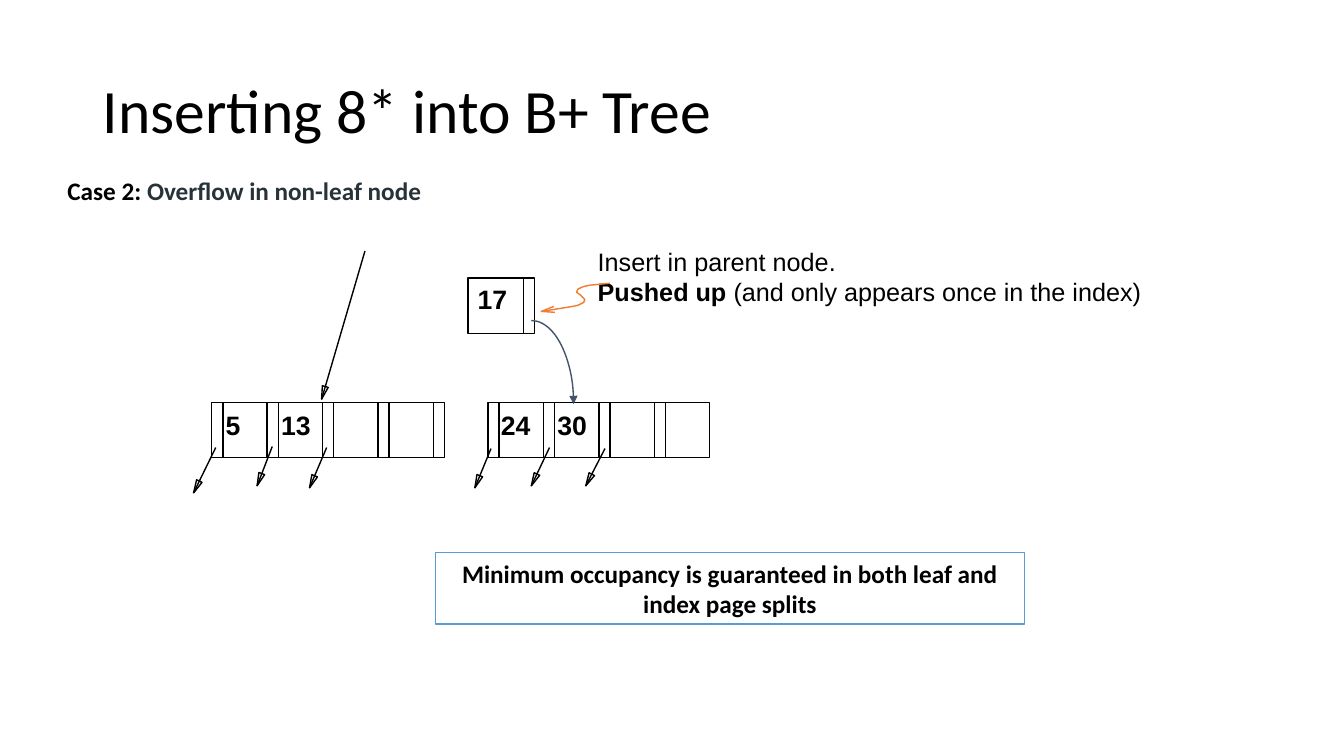
import math

from lxml import etree
from pptx import Presentation
from pptx.dml.color import RGBColor
from pptx.enum import shapes, text
from pptx.oxml import ns
from pptx.util import Inches, Pt

BLACK = RGBColor(0x00, 0x00, 0x00)
WHITE = RGBColor(0xFF, 0xFF, 0xFF)
SLATE = RGBColor(0x27, 0x32, 0x39)
ORANGE = RGBColor(0xED, 0x7D, 0x31)
BLUE = RGBColor(0x5B, 0x9B, 0xD5)
NAVY = RGBColor(0x44, 0x54, 0x6A)

# Content: each paragraph is a list of (text, format) runs
TITLE = [[("Inserting 8* into B+ Tree", {})]]
CASE = [[("Case 2: ", {}), ("Overflow in non-leaf node", {"color": SLATE})]]
NOTE = [[("Insert in parent node.", {})],
        [("Pushed up ", {"bold": True}),
         ("(and only appears once in the index)", {})]]
SUMMARY = [[("Minimum occupancy is guaranteed in both leaf and "
             "index page splits", {})]]

# Tree: slot 0.55 wide, each starting with a pointer strip
SLOT, STRIP, SLOTS, NODE_TOP = 0.55, 0.11, 4, 3.99
NODES = [  # left edge, (key, key left), closing pointer strip
    (2.1, [("5", 2.14), ("13", 2.69)], True),
    (4.84, [("24", 4.87), ("30", 5.43)], False),
]
PARENT_KEY, PARENT_LEFT, PARENT_TOP, PARENT_WIDTH = "17", 4.64, 2.76, 0.66
POINTERS = [
    ((2.14, 4.44), (1.92, 4.89)), ((2.7, 4.43), (2.55, 4.82)),
    ((3.24, 4.44), (3.07, 4.84)), ((4.87, 4.45), (4.71, 4.84)),
    ((5.45, 4.44), (5.27, 4.82)), ((6, 4.45), (5.81, 4.82)),
    ((3.62, 2.49), (3.19, 3.96)),
]
SQUIGGLE = [(6.05, 2.81), (5.85, 2.83), (5.8, 2.84), (5.77, 2.85),
            (5.73, 2.87), (5.72, 2.9), (5.76, 2.93), (5.8, 2.97),
            (5.79, 3), (5.73, 3.03), (5.68, 3.04), (5.62, 3.05),
            (5.37, 3.09)]

prs = Presentation()
prs.slide_width, prs.slide_height = Inches(13.33), Inches(7.5)
s = prs.slides.add_slide(prs.slide_layouts[5])


def write(sp, paragraphs, size=18, font="Calibri", bold=False, color=BLACK,
          align=text.PP_ALIGN.LEFT, anchor=text.MSO_ANCHOR.TOP, wrap=True,
          spacing=1.0):
    tf = sp.text_frame
    tf.auto_size = text.MSO_AUTO_SIZE.NONE
    tf.word_wrap, tf.vertical_anchor = wrap, anchor
    for i, runs in enumerate(paragraphs):
        p = tf.add_paragraph() if i else tf.paragraphs[0]
        p.alignment, p.line_spacing = align, spacing
        for words, fmt in runs:
            r = p.add_run()
            r.text = words
            r.font.name, r.font.size = font, Pt(size)
            r.font.bold = fmt.get("bold", bold)
            r.font.color.rgb = fmt.get("color", color)


def text_box(x, y, w, h, paragraphs, **fmt):
    sp = s.shapes.add_textbox(Inches(x), Inches(y), Inches(w), Inches(h))
    write(sp, paragraphs, **fmt)


def shape(kind, x, y, w, h, color=BLACK, fill=None):
    sp = s.shapes.add_shape(kind, Inches(x), Inches(y), Inches(w), Inches(h))
    return outline(sp, color, fill)


def outline(sp, color, fill=None):
    sp.shadow.inherit = False
    if fill is None:
        sp.fill.background()
    else:
        sp.fill.solid()
        sp.fill.fore_color.rgb = fill
    sp.line.color.rgb, sp.line.width = color, Pt(1)
    return sp


def line(start, end):
    sp = s.shapes.add_connector(
        shapes.MSO_CONNECTOR.STRAIGHT, *(Inches(v) for v in start + end))
    sp.line.color.rgb, sp.line.width = BLACK, Pt(1)
    etree.SubElement(sp._element.spPr, ns.qn("a:effectLst"))


def polyline(points, color, close=False):
    pts = [(Inches(x), Inches(y)) for x, y in points]
    fb = s.shapes.build_freeform(*pts[0], scale=1.0)
    fb.add_line_segments(pts[1:], close=close)
    outline(fb.convert_to_shape(), color)


def arrowhead(start, tip, color, close):
    angle = math.atan2(tip[1] - start[1], tip[0] - start[0])
    dx, dy = math.cos(angle), math.sin(angle)
    sides = [(tip[0] - 0.13 * dx - k * dy, tip[1] - 0.13 * dy + k * dx)
             for k in (-0.03, 0.03)]
    polyline([sides[0], tip, sides[1]], color, close)


def box(x, y, w):
    shape(shapes.MSO_SHAPE.RECTANGLE, x, y, w, SLOT)


def strip_line(x, y):
    line((x, y), (x, y + SLOT))


def key(label, x, y):
    text_box(x, y, 0.5, 0.42, [[(label, {})]], size=19, font="Arial",
             bold=True, wrap=False)


# Title and case line
title = s.shapes.title
title.left, title.top = Inches(0.92), Inches(0.4)
title.width, title.height = Inches(11.5), Inches(1.45)
write(title, TITLE, size=44, anchor=text.MSO_ANCHOR.MIDDLE, spacing=0.9)
text_box(0.57, 1.69, 3.83, 0.4, CASE, bold=True)

# Split index nodes
for left, keys, closing in NODES:
    for i in range(SLOTS):
        x = left + i * SLOT
        box(x, NODE_TOP, SLOT)
        strip_line(x + STRIP, NODE_TOP)
    if closing:
        box(left + SLOTS * SLOT, NODE_TOP, STRIP)
    for label, x in keys:
        key(label, x, NODE_TOP + 0.02)

# Parent entry
box(PARENT_LEFT, PARENT_TOP, PARENT_WIDTH)
strip_line(PARENT_LEFT + PARENT_WIDTH - STRIP, PARENT_TOP)
key(PARENT_KEY, PARENT_LEFT, PARENT_TOP)

# Pointers
for start, tip in POINTERS:
    line(start, tip)
    arrowhead(start, tip, BLACK, close=True)

# Curved pointer: top right quarter of an ellipse
arc = shape(shapes.MSO_SHAPE.ARC, 4.85, 3.18, 0.84, 1.66, NAVY)
etree.SubElement(arc.line._get_or_add_ln(), ns.qn("a:tailEnd"),
                 type="triangle")

# Note with its squiggly arrow
text_box(5.83, 2.39, 5.83, 0.7, NOTE, font="Arial")
polyline(SQUIGGLE, ORANGE)
arrowhead(SQUIGGLE[-2], SQUIGGLE[-1], ORANGE, close=False)

# Summary
summary = shape(shapes.MSO_SHAPE.RECTANGLE, 4.32, 5.48, 5.84, 0.71, BLUE, WHITE)
write(summary, SUMMARY, bold=True, align=text.PP_ALIGN.CENTER,
      anchor=text.MSO_ANCHOR.MIDDLE)

prs.save("out.pptx")
